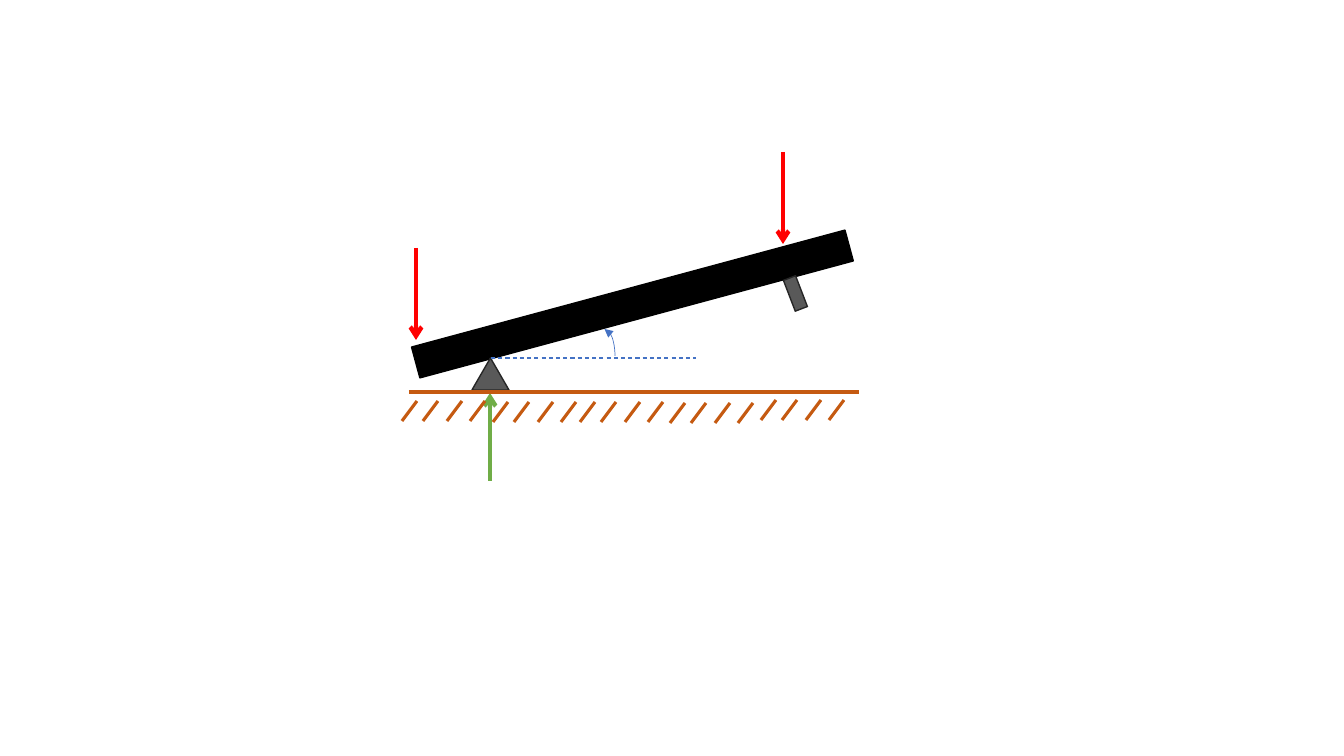
"""Build a slide showing a tilted beam on a pivot with its forces."""
from lxml import etree
from pptx import Presentation
from pptx.dml.color import RGBColor
from pptx.enum import dml, shapes
from pptx.oxml import ns
from pptx.util import Emu, Pt

PX = 914400 / 100.8
BLACK = RGBColor(0x00, 0x00, 0x00)
GREY = RGBColor(0x59, 0x59, 0x59)
DARK = RGBColor(0x26, 0x26, 0x26)
RED = RGBColor(0xFF, 0x00, 0x00)
GREEN = RGBColor(0x70, 0xAD, 0x47)
BLUE = RGBColor(0x44, 0x72, 0xC4)
BROWN = RGBColor(0xC5, 0x5A, 0x11)

HATCH_GROUPS = [(402, 401), (493, 402), (580, 402), (670, 403), (761, 400)]
HATCH_OFFSETS = [0, 21, 45, 68]


def px(n):
    """Turn pixels into EMU."""
    return Emu(round(n * PX))


def add_tip(s, end, kind):
    """Put an arrowhead on the headEnd or tailEnd of a line."""
    ln = s.element.spPr.find(ns.qn("a:ln"))
    etree.SubElement(ln, ns.qn(f"a:{end}"), type=kind)


def add_solid(sl, kind, box, fill, line, rotation=0):
    """Add a filled and outlined shape."""
    s = sl.shapes.add_shape(kind, *map(px, box))
    s.shadow.inherit = False
    s.fill.solid()
    s.fill.fore_color.rgb = fill
    s.line.color.rgb = line
    s.line.width = Pt(1)
    s.rotation = rotation
    return s


def add_line(sl, start, end, color, width, dash=None, tip=None):
    """Add a straight line with an optional dash and arrowhead."""
    s = sl.shapes.add_connector(shapes.MSO_CONNECTOR.STRAIGHT, *map(px, start + end))
    etree.SubElement(s.element.spPr, ns.qn("a:effectLst"))
    s.line.color.rgb = color
    s.line.width = Pt(width)
    if dash:
        s.line.dash_style = dash
    if tip:
        add_tip(s, "tailEnd", tip)
    return s


def add_angle(sl, box):
    """Add the arc that marks the tilt angle."""
    s = sl.shapes.add_shape(shapes.MSO_SHAPE.ARC, *map(px, box))
    s.shadow.inherit = False
    s.fill.background()
    s.line.color.rgb = BLUE
    s.line.width = Pt(0.5)
    add_tip(s, "headEnd", "triangle")
    return s


def add_ground(sl):
    """Add the ground line and its hatching."""
    add_line(sl, (409, 392), (859, 392), BROWN, 2.25)
    for left, top in HATCH_GROUPS:
        for dx in HATCH_OFFSETS:
            x = left + dx
            add_line(sl, (x, top + 20), (x + 15, top), BROWN, 2.25)


def main():
    """Draw the slide and save it."""
    prs = Presentation()
    prs.slide_width, prs.slide_height = px(1344), px(756)
    sl = prs.slides.add_slide(prs.slide_layouts[6])
    rect, triangle = shapes.MSO_SHAPE.RECTANGLE, shapes.MSO_SHAPE.ISOSCELES_TRIANGLE
    add_solid(sl, rect, (408, 288, 449, 32), BLACK, BLACK, 344.9)
    add_solid(sl, triangle, (472, 358, 37, 32), GREY, DARK)
    add_line(sl, (416, 248), (416, 340), RED, 3, tip="arrow")
    add_solid(sl, rect, (789, 277, 13, 33), GREY, DARK, 339)
    add_line(sl, (783, 152), (783, 244), RED, 3, tip="arrow")
    add_line(sl, (490, 481), (490, 393), GREEN, 3, tip="arrow")
    add_line(sl, (491, 358), (696, 358), BLUE, 0.75, dash=dml.MSO_LINE.DASH)
    add_angle(sl, (594, 329, 21, 54))
    add_ground(sl)
    prs.save("out.pptx")


if __name__ == "__main__":
    main()
